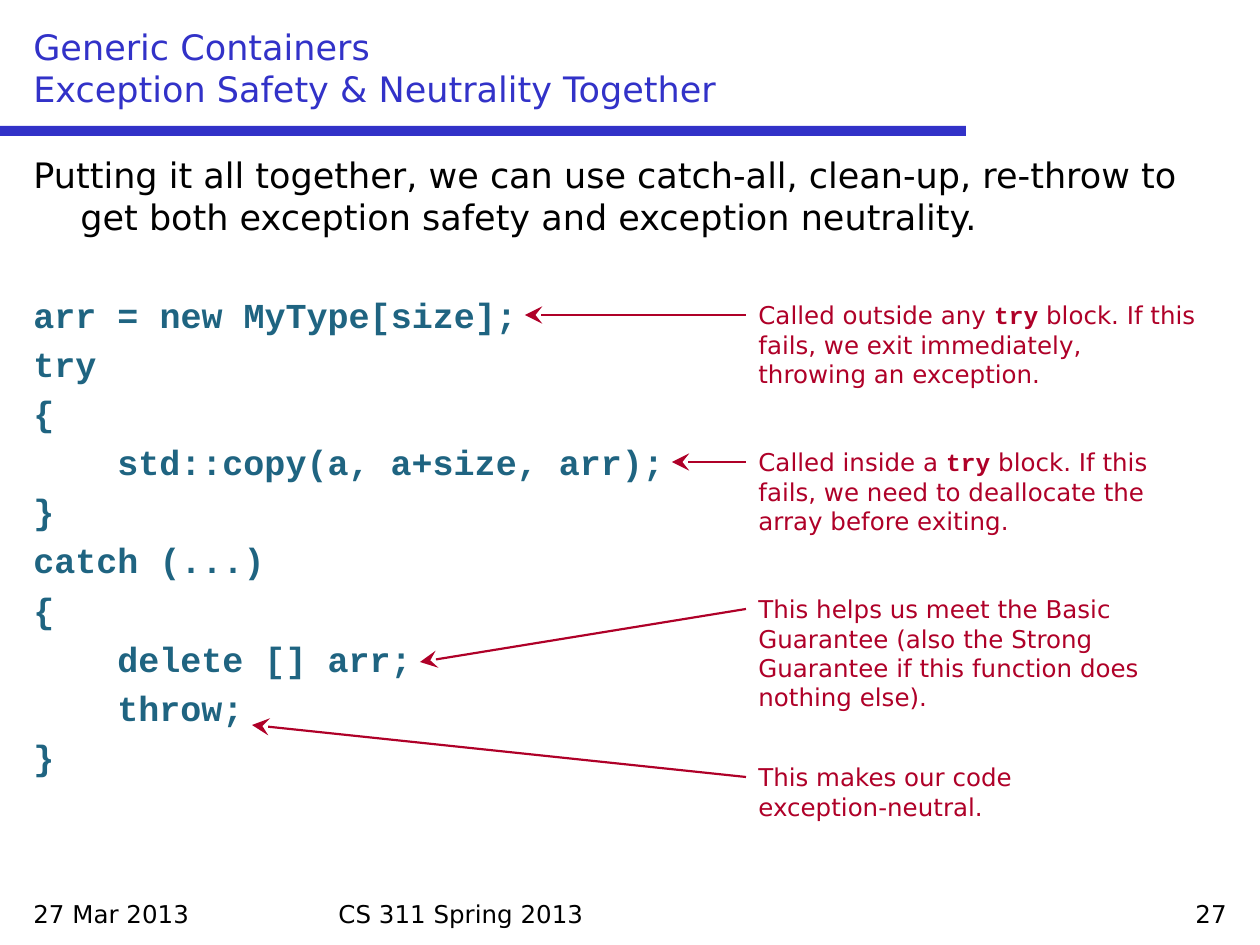
from lxml.etree import SubElement
from pptx import Presentation
from pptx.dml.color import RGBColor
from pptx.enum.shapes import MSO_CONNECTOR, MSO_SHAPE
from pptx.enum.text import MSO_ANCHOR, PP_ALIGN
from pptx.oxml.ns import qn
from pptx.util import Emu, Pt

PX_PER_INCH = 126
SANS, MONO = "DejaVu Sans", "Courier New"
BLUE, BLACK, TEAL, RED = "3232C8", "000000", "1F6481", "AF0028"

HEADING = {"name": SANS, "size": Pt(20), "color": BLUE}
BODY = {"name": SANS, "size": Pt(20), "color": BLACK}
CODE = {"name": MONO, "size": Pt(20), "color": TEAL, "bold": True}
FOOTER = {"name": SANS, "size": Pt(14), "color": BLACK}
NOTE = {"name": SANS, "size": Pt(14), "color": RED}
NOTE_CODE = NOTE | {"name": MONO, "bold": True}

MARGIN = 21
HANGING = 47
CODE_INDENT = 84
CODE_START_GAP = Pt(32.4)
CODE_LINE_GAP = Pt(4)
NOTE_LEFT = 746
NOTE_LINE = 29.5

INTRO = ("Putting it all together, we can use catch-all, clean-up, re-throw to "
         "get both exception safety and exception neutrality.")

# Indent level and text of each code line
CODE_LINES = [
    (0, "arr = new MyType[size];"),
    (0, "try"),
    (0, "{"),
    (1, "std::copy(a, a+size, arr);"),
    (0, "}"),
    (0, "catch (...)"),
    (0, "{"),
    (1, "delete [] arr;"),
    (1, "throw;"),
    (0, "}"),
]

# Top, width, number of lines, arrow tip, spans
NOTES = [
    (294, 462, 3, (525, 315), [
        ("Called outside any ", NOTE), ("try", NOTE_CODE),
        (" block. If this fails, we exit immediately, throwing an exception.", NOTE)]),
    (441, 462, 3, (672, 462), [
        ("Called inside a ", NOTE), ("try", NOTE_CODE),
        (" block. If this fails, we need to deallocate the array before exiting.", NOTE)]),
    (588, 462, 4, (420, 662), [
        ("This helps us meet the Basic Guarantee (also the Strong Guarantee "
         "if this function does nothing else).", NOTE)]),
    (756, 399, 2, (252, 725), [
        ("This makes our code exception-neutral.", NOTE)]),
]

# Left, width, alignment, text
FOOTERS = [
    (MARGIN, 294, PP_ALIGN.LEFT, "27 Mar 2013"),
    (326, 609, PP_ALIGN.LEFT, "CS 311 Spring 2013"),
    (945, 294, PP_ALIGN.RIGHT, "27"),
]


def px(length):
    return Emu(round(length * 914400 / PX_PER_INCH))


def color(value):
    return RGBColor.from_string(value)


def add_text_box(page, left, top, width, height, anchor=MSO_ANCHOR.TOP):
    """Add an empty wrapping box and return its text frame."""
    box = page.shapes.add_textbox(px(left), px(top), px(width), px(height))
    frame = box.text_frame
    frame.word_wrap = True
    frame.vertical_anchor = anchor
    return frame


def add_span(para, text, style):
    span = para.add_run()
    span.text = text
    for key, value in style.items():
        if key == "color":
            span.font.color.rgb = color(value)
        else:
            setattr(span.font, key, value)


def fill_para(para, spans, margin=0, hanging=0, **formats):
    for key, value in formats.items():
        setattr(para, key, value)
    properties = para._p.get_or_add_pPr()
    properties.set("marL", str(px(margin)))
    properties.set("indent", str(px(-hanging)))
    for text, style in spans:
        add_span(para, text, style)


def add_title(page):
    frame = add_text_box(page, MARGIN, 21, 1218, 95, MSO_ANCHOR.BOTTOM)
    para = frame.paragraphs[0]
    fill_para(para, [("Generic Containers", HEADING)])
    para.add_line_break()
    add_span(para, "Exception Safety & Neutrality Together", HEADING)


def add_rule(page):
    rule = page.shapes.add_shape(MSO_SHAPE.RECTANGLE, 0, px(126), px(966), px(10))
    rule.shadow.inherit = False
    rule.fill.solid()
    rule.fill.fore_color.rgb = color(BLUE)
    rule.line.fill.background()


def add_body(page):
    frame = add_text_box(page, MARGIN, 147, 1218, 735)
    fill_para(frame.paragraphs[0], [(INTRO, BODY)], HANGING, HANGING)
    for number, (level, text) in enumerate(CODE_LINES):
        gap = CODE_LINE_GAP if number else CODE_START_GAP
        fill_para(frame.add_paragraph(), [(text, CODE)],
                  level * CODE_INDENT, space_before=gap)


def add_arrow(page, start, tip):
    arrow = page.shapes.add_connector(
        MSO_CONNECTOR.STRAIGHT, *map(px, start), *map(px, tip))
    arrow.line.color.rgb = color(RED)
    arrow.line.width = Pt(1.25)
    SubElement(arrow.line._get_or_add_ln(), qn("a:tailEnd"),
               type="stealth", w="lg", len="lg")
    SubElement(arrow._element.spPr, qn("a:effectLst"))


def add_note(page, top, width, lines, tip, spans):
    """Add a remark and the arrow from its first line to the code."""
    frame = add_text_box(page, NOTE_LEFT, top, width, lines * NOTE_LINE + 13)
    fill_para(frame.paragraphs[0], spans)
    add_arrow(page, (NOTE_LEFT, top + 21), tip)


def add_footer(page, left, width, alignment, text):
    frame = add_text_box(page, left, 893, width, 42)
    fill_para(frame.paragraphs[0], [(text, FOOTER)], alignment=alignment)


def main():
    deck = Presentation()
    deck.slide_width, deck.slide_height = px(1260), px(945)
    page = deck.slides.add_slide(deck.slide_layouts[6])
    add_rule(page)
    add_title(page)
    add_body(page)
    for footer in FOOTERS:
        add_footer(page, *footer)
    for note in NOTES:
        add_note(page, *note)
    deck.save("out.pptx")


if __name__ == "__main__":
    main()
